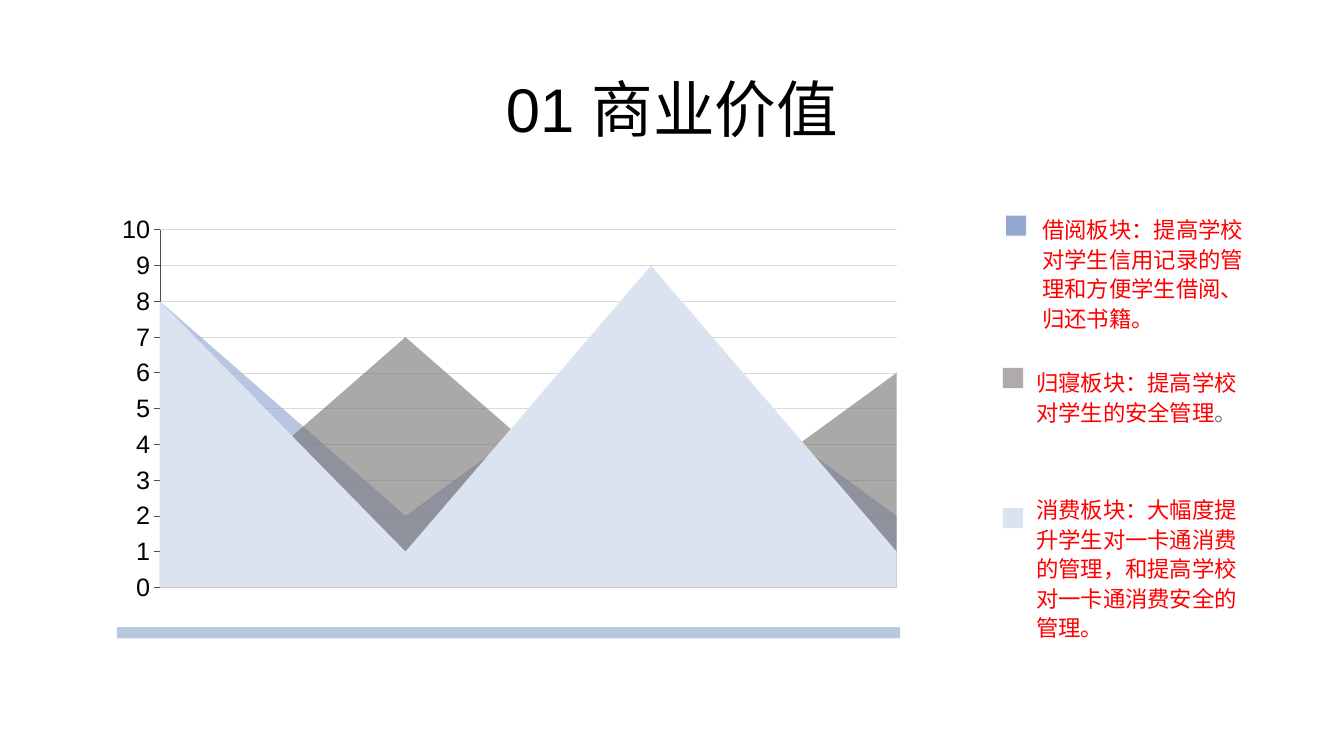
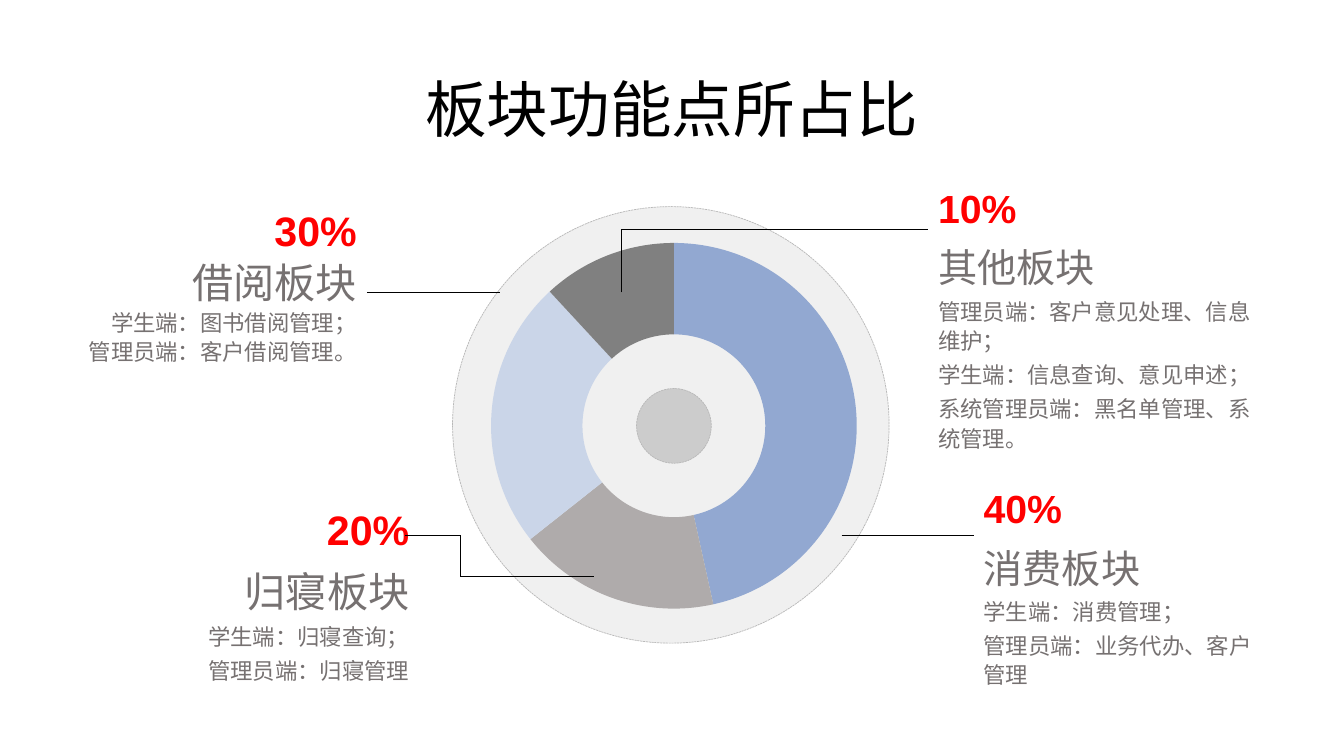
import pptx
import pptx.util
import pptx.dml.color
import pptx.chart.data
import pptx.enum.chart
import pptx.enum.dml
import pptx.enum.shapes
import pptx.enum.text
import pptx.oxml
import pptx.oxml.ns
import lxml.etree

Pt = pptx.util.Pt
qn = pptx.oxml.ns.qn
KIND = pptx.enum.chart.XL_CHART_TYPE
SHAPE = pptx.enum.shapes.MSO_SHAPE
ALIGN = pptx.enum.text.PP_ALIGN

HUES = {
    "black": "000000", "red": "FF0000", "text": "767171",
    "blue": "92A8D1", "pale": "DCE3F0", "light": "CAD5E8", "band": "B9C7E1",
    "stone": "AFABAB", "gray": "808080", "disk": "E7E6E6", "core": "CCCCCC",
    "rim": "B8B8B8", "axis": "4D4D4D", "grid": "DBDBDB",
}
FONT = "Arial"


def tint(name):
    return pptx.dml.color.RGBColor.from_string(HUES[name])


def paint(fill, name, alpha=None):
    fill.solid()
    fill.fore_color.rgb = tint(name)
    if alpha is not None:
        node = fill._xPr.find(qn("a:solidFill"))[0]
        lxml.etree.SubElement(node, qn("a:alpha")).set("val", str(alpha * 1000))


def stroke(line, name, dash=None):
    line.color.rgb = tint(name)
    line.width = Pt(0.5)
    if dash:
        line.dash_style = dash


def style(font, size, hue, bold=False):
    font.name = FONT
    font.size = Pt(size)
    font.bold = bold
    font.color.rgb = tint(hue)


def write(frame, paras, align=ALIGN.LEFT, pitch=1.1):
    frame.word_wrap = True
    frame.auto_size = pptx.enum.text.MSO_AUTO_SIZE.NONE
    frame.vertical_anchor = pptx.enum.text.MSO_ANCHOR.TOP
    for i, runs in enumerate(paras):
        para = frame.paragraphs[0] if i == 0 else frame.add_paragraph()
        para.alignment = align
        para.line_spacing = pitch
        para.space_before = Pt(round(runs[0][1] * 0.2, 1) if i else 0)
        for text, *look in runs:
            run = para.add_run()
            run.text = text
            style(run.font, *look)


def add_text(slide, box, paras, align=ALIGN.LEFT, pitch=1.1):
    area = slide.shapes.add_textbox(*map(Pt, box))
    write(area.text_frame, paras, align, pitch)


def add_form(slide, kind, box, hue, alpha=None, rim=False):
    form = slide.shapes.add_shape(kind, *map(Pt, box))
    form.shadow.inherit = False
    paint(form.fill, hue, alpha)
    if rim:
        stroke(form.line, "rim", pptx.enum.dml.MSO_LINE.SQUARE_DOT)
    else:
        form.line.fill.background()


def add_path(slide, points):
    straight = pptx.enum.shapes.MSO_CONNECTOR.STRAIGHT
    for start, end in zip(points, points[1:]):
        line = slide.shapes.add_connector(straight, *map(Pt, start + end))
        stroke(line.line, "black")
        lxml.etree.SubElement(line._element.spPr, qn("a:effectLst"))


def add_plot(slide, kind, box, series, inner):
    data = pptx.chart.data.CategoryChartData()
    data.categories = ["1", "2", "3", "4"]
    for i, values in enumerate(series, 1):
        data.add_series(f"Series {i}", values)
    chart = slide.shapes.add_chart(kind, *map(Pt, box), data).chart
    chart.has_legend = False
    chart.has_title = False
    style(chart.font, 18, "black")
    plot = chart._chartSpace.chart.plotArea
    for old in plot.findall(qn("c:layout")):
        plot.remove(old)
    layout = lxml.etree.Element(qn("c:layout"))
    manual = lxml.etree.SubElement(layout, qn("c:manualLayout"))
    pairs = [("layoutTarget", "inner"), ("xMode", "edge"), ("yMode", "edge")]
    for tag, value in pairs + list(zip("xywh", inner)):
        lxml.etree.SubElement(manual, qn("c:" + tag)).set("val", str(value))
    plot.insert(0, layout)
    return chart


def add_page(deck, title):
    slide = deck.slides.add_slide(deck.slide_layouts[5])
    head = slide.shapes.title
    head.left, head.top, head.width, head.height = map(Pt, (205, 42, 550, 62))
    write(head.text_frame, [[(title, 44, "black")]], ALIGN.CENTER)
    return slide


def add_area(slide, box):
    x, y, w, h = box
    series = [(8, 1, 9, 1), (1, 7, 1, 6), (8, 2, 7, 2)]
    chart = add_plot(slide, KIND.AREA, box, series, (0.067, 0.053, 0.912, 0.89))
    looks = [("pale", None), ("text", 61), ("blue", 65)]
    for item, look in zip(chart.plots[0].series, looks):
        paint(item.format.fill, *look)
        item.format.line.fill.background()
    chart.plots[0].vary_by_categories = False
    chart.category_axis.visible = False
    axis = chart.value_axis
    axis.minimum_scale, axis.maximum_scale, axis.major_unit = 0, 10, 1
    axis.major_tick_mark = pptx.enum.chart.XL_TICK_MARK.OUTSIDE
    axis.minor_tick_mark = pptx.enum.chart.XL_TICK_MARK.NONE
    axis.has_major_gridlines = True
    style(axis.tick_labels.font, 18, "black")
    stroke(axis.format.line, "axis")
    stroke(axis.major_gridlines.format.line, "grid")
    axis._element.find(qn("c:crossBetween")).set("val", "midCat")
    add_form(slide, SHAPE.RECTANGLE, (x + 8, y + h + 12, w - 17.5, 8), "band")


def add_key(slide, x, y):
    items = [
        (2.2, 5, 21, 0, 98, "blue",
         [("借阅板块：提高学校对学生信用记录的管理和方便学生借阅、归还书籍。", 16, "red")]),
        (0, 113.8, 16.6, 109.5, 68, "stone",
         [("归寝板块：提高学校对学生的安全管理", 16, "red"), ("。", 16, "text")]),
        (0, 213.9, 16.6, 200.2, 107, "pale",
         [("消费板块：大幅度提升学生对一卡通消费的管理，和提高学校对一卡通消费安全的管理。", 16, "red")]),
    ]
    for left, top, tab, text_top, high, hue, runs in items:
        add_form(slide, SHAPE.RECTANGLE, (x + left, y + top, 14.4, 14.4), hue)
        add_text(slide, (x + tab, y + text_top, 160, high), [runs])


def add_ring(slide, x, y, size):
    add_form(slide, SHAPE.OVAL, (x, y, size, size), "disk", 59, True)
    mid_x, mid_y = x + size / 2 + 2.2, y + size / 2 + 0.7
    wide, high, core = 281.5, 284.4, 53.4
    box = (mid_x - wide / 2, mid_y - high / 2, wide, high)
    chart = add_plot(slide, KIND.DOUGHNUT, box, [(47, 18, 24, 12)],
                     (0.036, 0.04, 0.928, 0.92))
    plot = chart.plots[0]
    plot.vary_by_categories = True
    plot._element.find(qn("c:holeSize")).set("val", "50")
    for i, hue in enumerate(("blue", "stone", "light", "gray")):
        part = plot.series[0].points[i].format
        paint(part.fill, hue)
        part.line.fill.background()
    box = (mid_x - core / 2, mid_y - core / 2, core, core)
    add_form(slide, SHAPE.OVAL, box, "core", rim=True)


def add_note(slide, box, share, name, lines, size=28, align=ALIGN.LEFT, pitch=1.1):
    paras = [[(share, size, "red", True)], [(name, size, "text")]]
    paras += [[(line, 16, "text")] for line in lines]
    add_text(slide, box, paras, align, pitch)


def add_notes(slide):
    add_note(slide, (663, 124.6, 240, 206), "10%", "其他板块",
             ["管理员端：客户意见处理、信息维护；", "学生端：信息查询、意见申述；",
              "系统管理员端：黑名单管理、系统管理。"])
    add_note(slide, (41, 146.9, 221, 140), "30%", "借阅板块",
             ["学生端：图书借阅管理；", "管理员端：客户借阅管理。"],
             29.4, ALIGN.RIGHT, 0.9)
    add_note(slide, (695.5, 339, 218, 184), "40%", "消费板块",
             ["学生端：消费管理；", "管理员端：业务代办、客户管理"])
    add_note(slide, (102, 353, 197.5, 156), "20%", "归寝板块",
             ["学生端：归寝查询；", "管理员端：归寝管理"], 29.4, ALIGN.RIGHT)
    high, low = 208.8, 382.3
    paths = [
        [(443.5, high), (443.5, 164.2), (663, 164.2)],
        [(601.2, low), (696, low)],
        [(289.5, low), (329, low), (329, 412), (424, 412)],
        [(262, high), (357, high)],
    ]
    for points in paths:
        add_path(slide, points)


def main():
    deck = pptx.Presentation()
    deck.slide_width, deck.slide_height = Pt(960), Pt(540)
    value = add_page(deck, "01 商业价值")
    add_area(value, (75.6, 149, 577, 287))
    add_key(value, 716.4, 149)
    share = add_page(deck, "板块功能点所占比")
    add_ring(share, 323.3, 147.6, 311.8)
    add_notes(share)
    deck.save("out.pptx")


if __name__ == "__main__":
    main()
